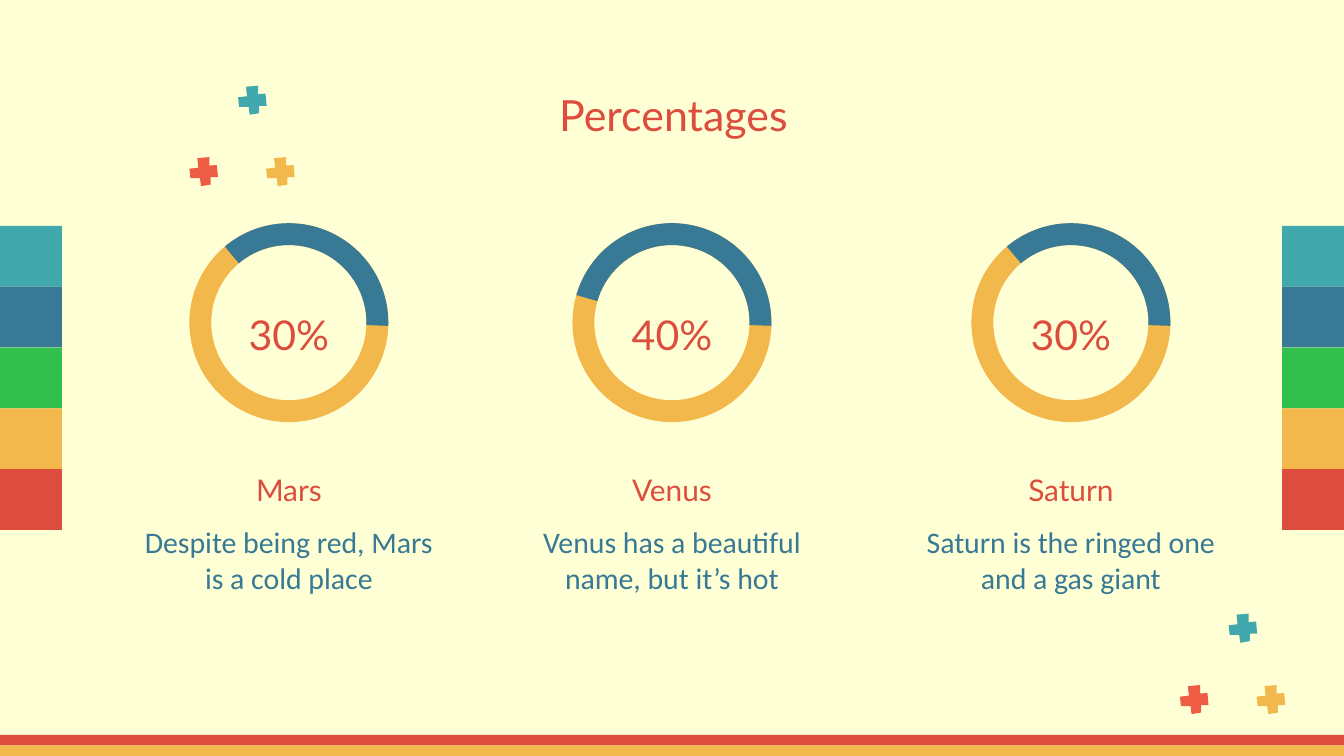
from dataclasses import dataclass

from pptx import Presentation
from pptx.dml.color import RGBColor as Color
from pptx.enum.shapes import MSO_SHAPE as Kind
from pptx.enum.text import MSO_ANCHOR as Anchor, PP_ALIGN as Align
from pptx.shapes.base import BaseShape as Shape
from pptx.slide import Slide
from pptx.util import Cm, Pt


@dataclass(frozen=True)
class Theme:
    cream: str = "FFFFD6"
    red: str = "DD4D3E"
    coral: str = "EF5C44"
    gold: str = "F2B84C"
    green: str = "33BF4B"
    blue: str = "387995"
    teal: str = "41A9AD"
    head: str = "Lato"
    body: str = "Calibri"
    title: int = 23
    share: int = 22
    text: int = 16


@dataclass(frozen=True)
class Box:
    left: float
    top: float
    width: float
    height: float


@dataclass(frozen=True)
class Style:
    font: str
    size: int
    color: str
    anchor: Anchor = Anchor.BOTTOM
    after: int = 0


@dataclass(frozen=True)
class Planet:
    name: str
    share: str
    note: str
    mid: float
    start: float


THEME = Theme()
WIDTH, HEIGHT = 25.4, 14.29
BAR, STEP, STRIPE = 1.17, 1.15, 0.2
RING = 3.76

TITLE = Style(THEME.head, THEME.title, THEME.red, Anchor.TOP)
SHARE = Style(THEME.head, THEME.share, THEME.red)
NAME = Style(THEME.head, THEME.text, THEME.red)
NOTE = Style(THEME.body, THEME.text, THEME.blue, Anchor.TOP, 12)

PLANETS = (
    Planet("Mars", "30%", "Despite being red, Mars is a cold place", 5.46, 137.96),
    Planet("Venus", "40%", "Venus has a beautiful name, but it’s hot", 12.7, 117.66),
    Planet("Saturn", "30%", "Saturn is the ringed one and a gas giant", 20.24, 137.96),
)
BARS = (THEME.teal, THEME.blue, THEME.green, THEME.gold, THEME.red)
CROSS = (
    (0.4, 0.38), (0.4, 0.52), (0.22, 0.55), (0.2, 0.4), (0.02, 0.4), (0, 0.22),
    (0.17, 0.2), (0.15, 0.02), (0.38, 0), (0.38, 0.16), (0.52, 0.15), (0.54, 0.38),
)
TRIO = ((0, 0, THEME.coral), (0.92, -1.35, THEME.teal), (1.45, 0, THEME.gold))


def paint(shape: Shape, color: str) -> None:
    shape.shadow.inherit = False
    shape.fill.solid()
    shape.fill.fore_color.rgb = Color.from_string(color)
    shape.line.fill.background()


def center(mid: float, top: float, width: float, height: float) -> Box:
    return Box(mid - width / 2, top, width, height)


def draw(slide: Slide, kind: Kind, box: Box, color: str, *tweaks: float) -> None:
    shape = slide.shapes.add_shape(
        kind, Cm(box.left), Cm(box.top), Cm(box.width), Cm(box.height))
    paint(shape, color)
    for i, tweak in enumerate(tweaks):
        shape.adjustments[i] = tweak


def write(slide: Slide, text: str, box: Box, style: Style) -> None:
    frame = slide.shapes.add_textbox(
        Cm(box.left), Cm(box.top), Cm(box.width), Cm(box.height)).text_frame
    frame.word_wrap = True
    frame.vertical_anchor = style.anchor
    frame.margin_left = frame.margin_right = Cm(0.25)
    frame.margin_top = frame.margin_bottom = Cm(0.25)
    line = frame.paragraphs[0]
    line.text = text
    line.alignment = Align.CENTER
    line.space_after = Pt(style.after)
    line.font.name = style.font
    line.font.size = Pt(style.size)
    line.font.color.rgb = Color.from_string(style.color)


def frame_page(slide: Slide) -> None:
    for i, color in enumerate((THEME.red, THEME.gold)):
        top = HEIGHT - STRIPE * (2 - i)
        draw(slide, Kind.RECTANGLE, Box(0, top, WIDTH, STRIPE), color)
    for left in (0, WIDTH - BAR):
        for i, color in enumerate(BARS):
            draw(slide, Kind.RECTANGLE, Box(left, 4.27 + i * STEP, BAR, STEP), color)


def show_planet(slide: Slide, planet: Planet) -> None:
    mid = planet.mid
    ring = center(mid, 4.22, RING, RING)
    draw(slide, Kind.DONUT, ring, THEME.gold, 0.11)
    draw(slide, Kind.BLOCK_ARC, ring, THEME.blue, planet.start, 1.1, 0.11)
    write(slide, planet.share, center(mid, 5.18, 2.97, 1.85), SHARE)
    write(slide, planet.name, center(mid, 8.48, 6.45, 1.37), NAME)
    write(slide, planet.note, center(mid, 9.65, 6.25, 2.59), NOTE)


def add_trio(slide: Slide, left: float, top: float) -> None:
    for right, down, color in TRIO:
        points = [(Cm(left + right + x), Cm(top + down + y)) for x, y in CROSS]
        pen = slide.shapes.build_freeform(*points[0])
        pen.add_line_segments(points[1:], close=True)
        paint(pen.convert_to_shape(), color)


def main() -> None:
    deck = Presentation()
    deck.slide_width, deck.slide_height = Cm(WIDTH), Cm(HEIGHT)
    slide = deck.slides.add_slide(deck.slide_layouts[6])
    slide.background.fill.solid()
    slide.background.fill.fore_color.rgb = Color.from_string(THEME.cream)
    frame_page(slide)
    for planet in PLANETS:
        show_planet(slide, planet)
    write(slide, "Percentages", center(12.73, 1.42, 21.46, 1.6), TITLE)
    add_trio(slide, 3.58, 2.97)
    add_trio(slide, 22.3, 12.95)
    deck.save("out.pptx")


if __name__ == "__main__":
    main()
